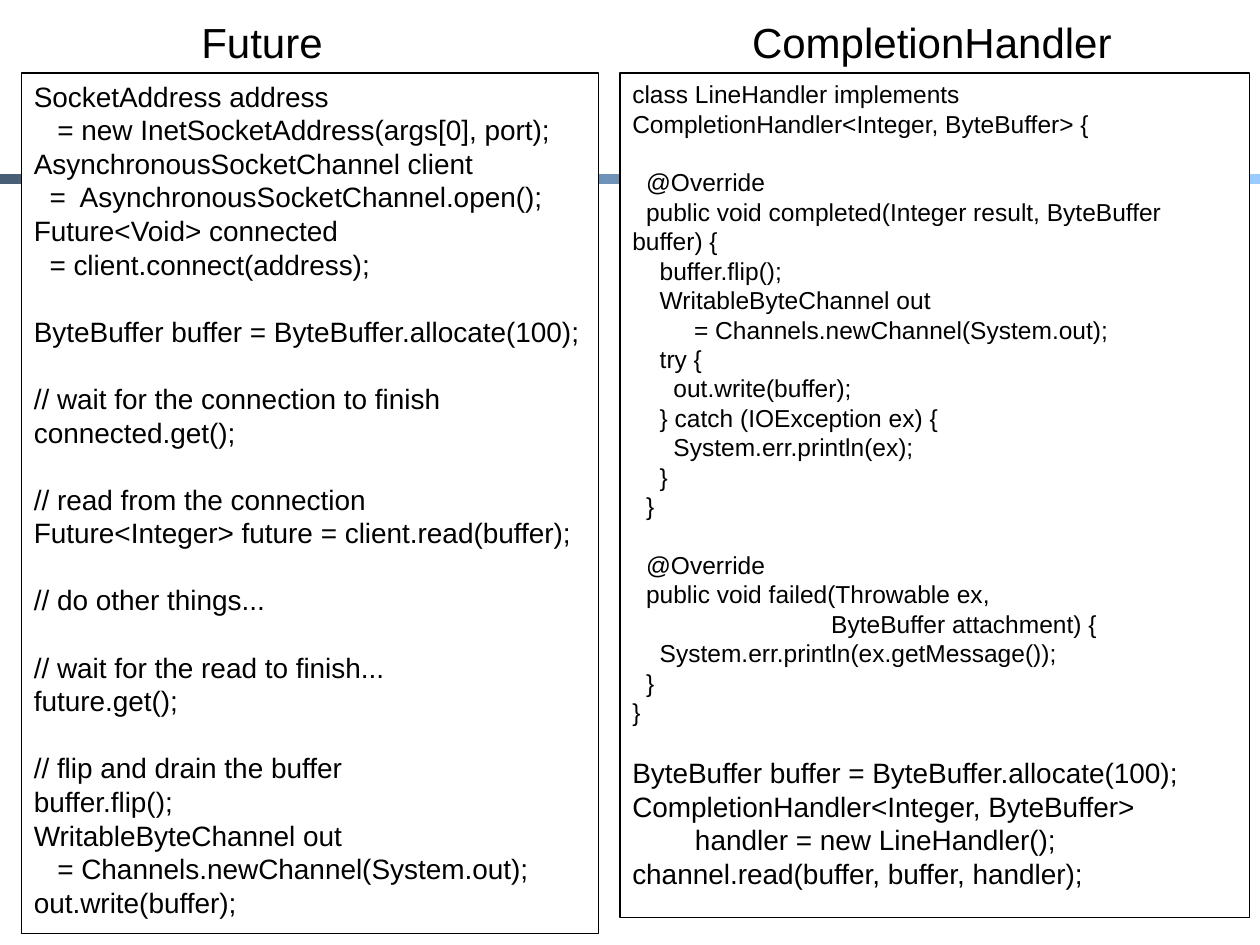
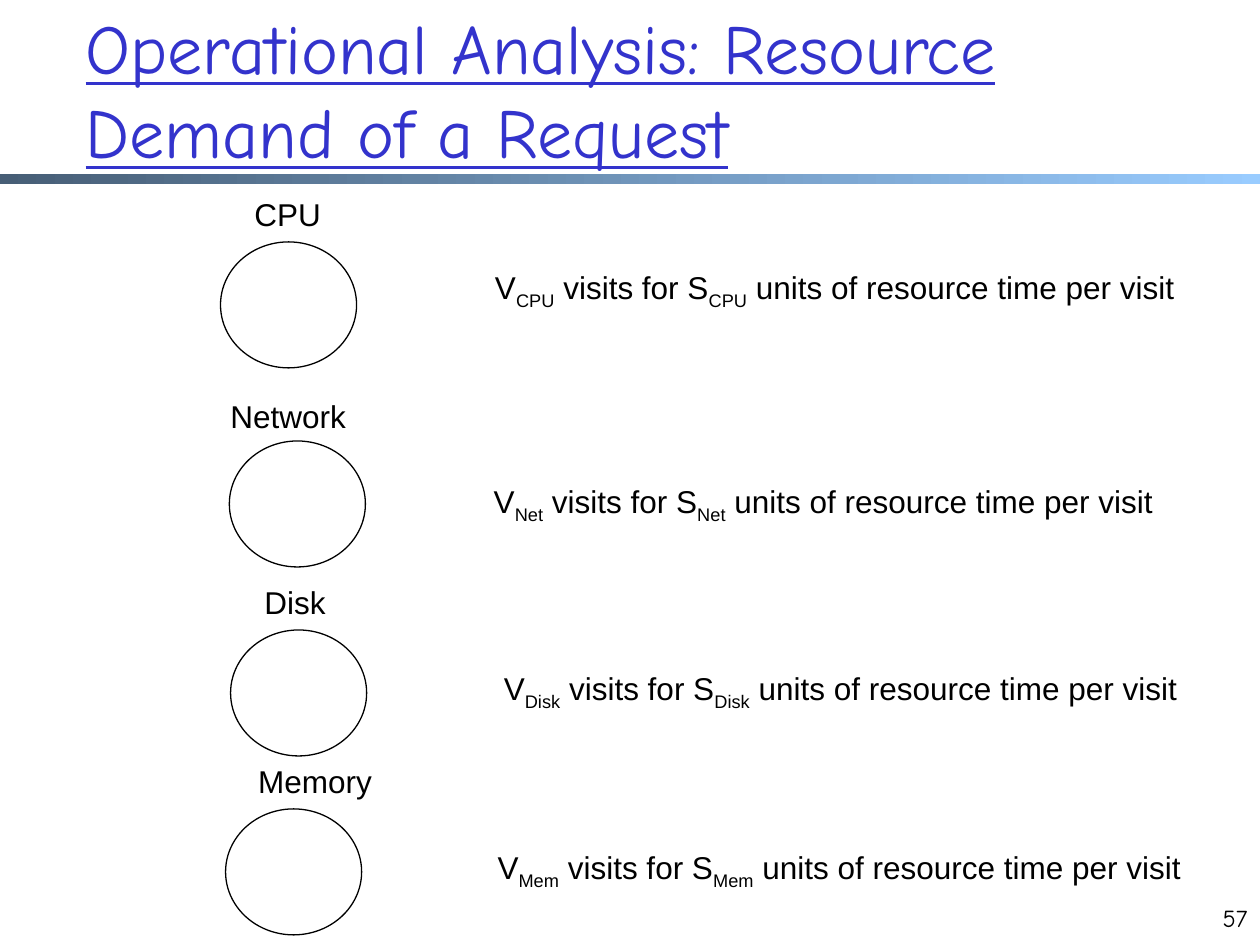
"""Builds two slides: asynchronous channel code and resource demand of a request."""
from pptx import Presentation
from pptx.dml.color import RGBColor
from pptx.enum.shapes import MSO_SHAPE as SHAPE
from pptx.enum.text import MSO_ANCHOR as ANCHOR, MSO_AUTO_SIZE as FIT, PP_ALIGN as ALIGN
from pptx.util import Inches, Pt

COLORS = {"text": "000000", "title": "3333CC", "paper": "FFFFFF",
          "band_dark": "475E76", "band_light": "99CCFF"}
BODY_FONT, TITLE_FONT = "Arial", "Comic Neue"
SPACE_EM, LINE_EM = 0.28, 1.2

FUTURE_CODE = """
SocketAddress address
   = new InetSocketAddress(args[0], port);
AsynchronousSocketChannel client
  =  AsynchronousSocketChannel.open();
Future<Void> connected
  = client.connect(address);

ByteBuffer buffer = ByteBuffer.allocate(100);

// wait for the connection to finish
connected.get();

// read from the connection
Future<Integer> future = client.read(buffer);

// do other things...

// wait for the read to finish...
future.get();

// flip and drain the buffer
buffer.flip();
WritableByteChannel out
   = Channels.newChannel(System.out);
out.write(buffer);
"""
HANDLER_CODE = """
class LineHandler implements CompletionHandler<Integer, ByteBuffer> {

  @Override
  public void completed(Integer result, ByteBuffer buffer) {
    buffer.flip();
    WritableByteChannel out
         = Channels.newChannel(System.out);
    try {
      out.write(buffer);
    } catch (IOException ex) {
      System.err.println(ex);
    }
  }

  @Override
  public void failed(Throwable ex,
                             ByteBuffer attachment) {
    System.err.println(ex.getMessage());
  }
}

"""
CALL_CODE = """
ByteBuffer buffer = ByteBuffer.allocate(100);
CompletionHandler<Integer, ByteBuffer>
        handler = new LineHandler();
channel.read(buffer, buffer, handler);
"""
PANELS = [
    ("Future", (1.5, 0.08, 1.17, 0.5), (0.17, 0.58, 4.58, 6.83), [(16, FUTURE_CODE)]),
    ("CompletionHandler", (5.87, 0.08, 3.09, 0.5), (4.92, 0.58, 5, 6.7),
     [(14, HANDLER_CODE), (16, CALL_CODE)]),
]
TITLE = "Operational Analysis: Resource Demand of a Request"
PAGE_NUMBER = "57"
RESOURCES = [
    ("CPU", "CPU", (1.92, 1.5, 0.92), (1.75, 1.92), (3.83, 2.08, 5.92)),
    ("Network", "Net", (1.73, 3.1, 1.13), (1.82, 3.5), (3.82, 3.78, 5.69)),
    ("Disk", "Disk", (2, 4.58, 0.69), (1.83, 5), (3.9, 5.26, 5.82)),
    ("Memory", "Mem", (1.95, 6, 1.11), (1.79, 6.42), (3.85, 6.68, 5.91)),
]
CIRCLE_SIZE = (1.08, 1)
LABEL_HEIGHT = 0.4


def rgb(name):
    return RGBColor.from_string(COLORS[name])


def inches(box):
    return [Inches(v) for v in box]


def add_run(p, text, size, font=BODY_FONT, color="text"):
    r = p.add_run()
    r.text = text
    r.font.size, r.font.name = Pt(size), font
    r.font.color.rgb = rgb(color)
    return r


def add_text(s, box, parts, size, font=BODY_FONT, align=ALIGN.LEFT, wrap=True):
    tf = s.shapes.add_textbox(*inches(box)).text_frame
    tf.word_wrap = wrap
    p = tf.paragraphs[0]
    p.alignment = align
    for text, is_subscript in parts:
        r = add_run(p, text, size, font)
        if is_subscript:
            r.font._element.set("baseline", "-25000")


def add_outlined(s, kind, box):
    sp = s.shapes.add_shape(kind, *inches(box))
    sp.shadow.inherit = False
    sp.fill.solid()
    sp.fill.fore_color.rgb = rgb("paper")
    sp.line.color.rgb = rgb("text")
    sp.line.width = Pt(0.75)
    return sp


def add_code(s, box, blocks):
    tf = add_outlined(s, SHAPE.RECTANGLE, box).text_frame
    tf.word_wrap, tf.vertical_anchor = True, ANCHOR.TOP
    p, gap = tf.paragraphs[0], 0
    for size, code in blocks:
        for line in code[1:-1].split("\n"):
            text = line.strip()
            if not text:
                gap += size * LINE_EM
                continue
            if p.runs:
                p = tf.add_paragraph()
            p.alignment = ALIGN.LEFT
            p.space_before = Pt(gap)
            spaces = len(line) - len(line.lstrip())
            pPr = p._p.get_or_add_pPr()
            pPr.set("marL", "0")
            pPr.set("indent", str(int(Pt(spaces * SPACE_EM * size))))
            add_run(p, text, size)
            gap = 0


def add_master_band(prs, s):
    sp = s.shapes.add_shape(SHAPE.RECTANGLE, *inches((0, 1.38, 10, 0.08)))
    sp.shadow.inherit = False
    sp.line.fill.background()
    sp.fill.gradient()
    sp.fill.gradient_angle = 0
    for stop, name, position in zip(sp.fill.gradient_stops, ("band_dark", "band_light"), (0, 1)):
        stop.color.rgb = rgb(name)
        stop.position = position
    prs.slide_master.shapes.element.append(sp.element)


def build_code_slide(s):
    for heading, heading_box, code_box, blocks in PANELS:
        add_code(s, code_box, blocks)
        add_text(s, heading_box, [(heading, False)], 24, wrap=False)


def build_demand_slide(s):
    sp = s.shapes.title
    sp.left, sp.top, sp.width, sp.height = inches((0.58, 0.08, 8.5, 1.25))
    tf = sp.text_frame
    tf.auto_size, tf.word_wrap, tf.vertical_anchor = FIT.NONE, True, ANCHOR.MIDDLE
    p = tf.paragraphs[0]
    p.alignment = ALIGN.LEFT
    add_run(p, TITLE, 40, TITLE_FONT, "title").font.underline = True
    add_text(s, (9.5, 7.12, 0.5, 0.5), [(PAGE_NUMBER, False)], 14, TITLE_FONT, ALIGN.RIGHT)
    for name, short, label_box, circle_at, demand_box in RESOURCES:
        add_text(s, (*label_box, LABEL_HEIGHT), [(name, False)], 18, wrap=name == "CPU")
        add_outlined(s, SHAPE.OVAL, (*circle_at, *CIRCLE_SIZE))
        parts = [("V", False), (short, True), (" visits for S", False), (short, True),
                 (" units of resource time per visit", False)]
        add_text(s, (*demand_box, LABEL_HEIGHT), parts, 18, wrap=False)


prs = Presentation()
prs.slide_width, prs.slide_height = Inches(10), Inches(7.5)
title_only, blank = prs.slide_layouts[5], prs.slide_layouts[6]
code_slide = prs.slides.add_slide(blank)
add_master_band(prs, code_slide)
build_code_slide(code_slide)
build_demand_slide(prs.slides.add_slide(title_only))
prs.save("out.pptx")
